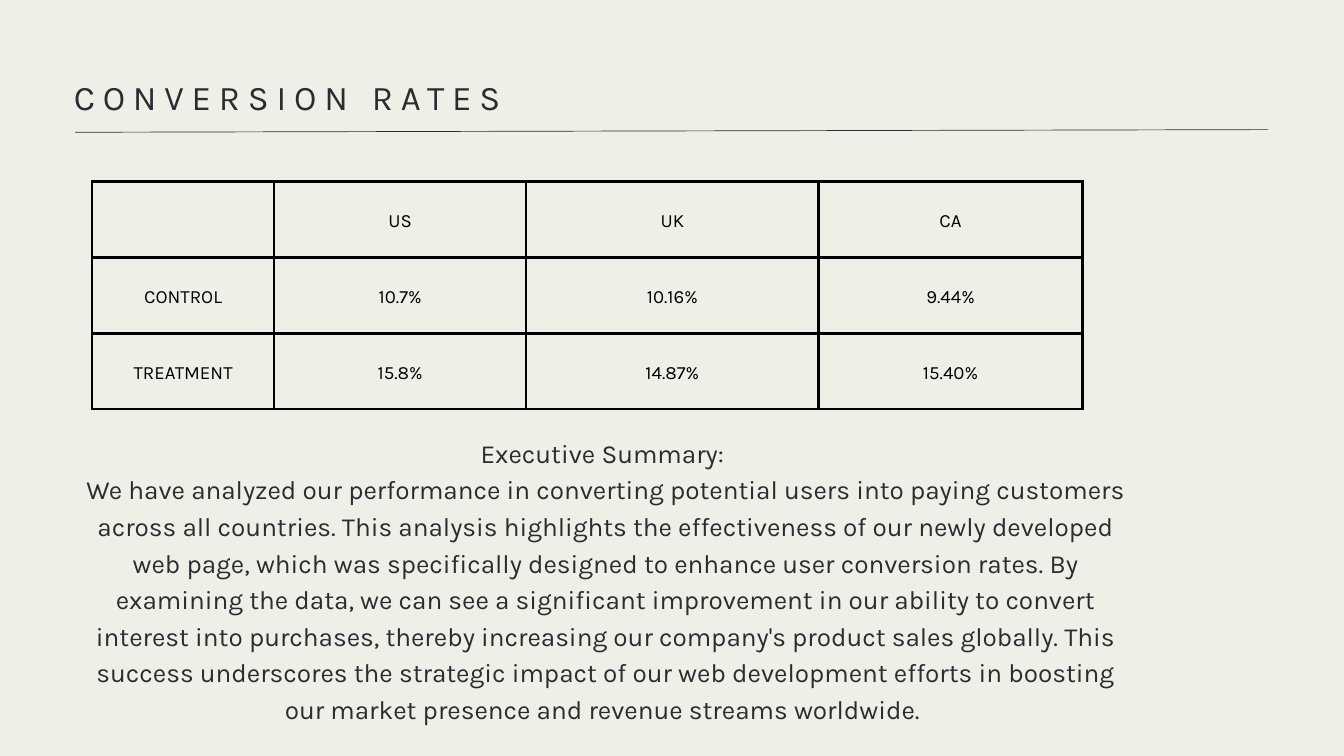
import pptx
import pptx.dml.color
import pptx.enum.shapes
import pptx.enum.text
import pptx.oxml
import pptx.oxml.ns
import pptx.util
from lxml import etree

Cm = pptx.util.Cm
Pt = pptx.util.Pt
CENTER = pptx.enum.text.PP_ALIGN.CENTER
LEFT = pptx.enum.text.PP_ALIGN.LEFT

CREAM = pptx.dml.color.RGBColor(0xEF, 0xEE, 0xE7)
CHARCOAL = pptx.dml.color.RGBColor(0x2B, 0x2C, 0x30)
BLACK = pptx.dml.color.RGBColor(0, 0, 0)


def write(paragraph, text, size, color, spacing, align=CENTER):
    paragraph.alignment = align
    paragraph.line_spacing = Pt(spacing)
    run = paragraph.add_run()
    run.text = text
    run.font.name = "Karla"
    run.font.size = Pt(size)
    run.font.color.rgb = color
    return run


def add_frame(left, top, width, height):
    frame = slide.shapes.add_textbox(Cm(left), Cm(top), Cm(width), Cm(height)).text_frame
    frame.word_wrap = True
    frame.margin_left = frame.margin_right = frame.margin_top = frame.margin_bottom = 0
    return frame


presentation = pptx.Presentation()
presentation.slide_width = Cm(50.8)
presentation.slide_height = Cm(28.58)
slide = presentation.slides.add_slide(presentation.slide_layouts[6])
slide.background.fill.solid()
slide.background.fill.fore_color.rgb = CREAM

# Rule under the title
title_rule = slide.shapes.add_connector(
    pptx.enum.shapes.MSO_CONNECTOR.STRAIGHT, Cm(2.84), Cm(5), Cm(47.93), Cm(4.9))
title_rule.line.color.rgb = CHARCOAL
title_rule.line.width = Pt(0.75)
etree.SubElement(title_rule._element.spPr, pptx.oxml.ns.qn("a:effectLst"))

# Conversion rates by country
rates = [
    ["", "US", "UK", "CA"],
    ["CONTROL", "10.7%", "10.16%", "9.44%"],
    ["TREATMENT", "15.8%", "14.87%", "15.40%"],
]
column_widths = [6.88, 9.53, 11.05, 9.98]
row_height = 2.87
rates_table = slide.shapes.add_table(
    len(rates), len(column_widths), Cm(3.48), Cm(6.86),
    Cm(sum(column_widths)), Cm(row_height * len(rates))).table
rates_table.first_row = rates_table.horz_banding = False
for column, width in zip(rates_table.columns, column_widths):
    column.width = Cm(width)
for row, labels in zip(rates_table.rows, rates):
    row.height = Cm(row_height)
    for cell, label in zip(row.cells, labels):
        cell.vertical_anchor = pptx.enum.text.MSO_ANCHOR.MIDDLE
        cell.margin_left = cell.margin_right = Cm(0.53)
        cell.margin_top = cell.margin_bottom = Cm(0.53)
        if label:
            write(cell.text_frame.paragraphs[0], label, 20, BLACK, 28)
        cell.fill.background()
        # Borders come before the fill in the cell properties
        for position, side in enumerate(["lnL", "lnR", "lnT", "lnB"]):
            border = pptx.oxml.parse_xml(
                f'<a:{side} {pptx.oxml.ns.nsdecls("a")} w="{Pt(3)}">'
                f'<a:solidFill><a:srgbClr val="{BLACK}"/></a:solidFill></a:{side}>')
            cell._tc.tcPr.insert(position, border)

# Title
title = add_frame(2.79, 2.62, 45.09, 1.8)
title_run = write(title.paragraphs[0], "CONVERSION RATES", 37.1, CHARCOAL, 52, LEFT)
title_run.font._element.set("spc", "840")

# Executive summary
summary = add_frame(2.79, 16.33, 40.18, 11)
write(summary.paragraphs[0], "Executive Summary: ", 28, CHARCOAL, 39.2)
write(
    summary.add_paragraph(),
    "We have analyzed our performance in converting potential users into paying "
    "customers across all countries. This analysis highlights the effectiveness of "
    "our newly developed web page, which was specifically designed to enhance user "
    "conversion rates. By examining the data, we can see a significant improvement "
    "in our ability to convert interest into purchases, thereby increasing our "
    "company's product sales globally. This success underscores the strategic impact "
    "of our web development efforts in boosting our market presence and revenue "
    "streams worldwide. ",
    28, CHARCOAL, 39.2)

presentation.save("out.pptx")
